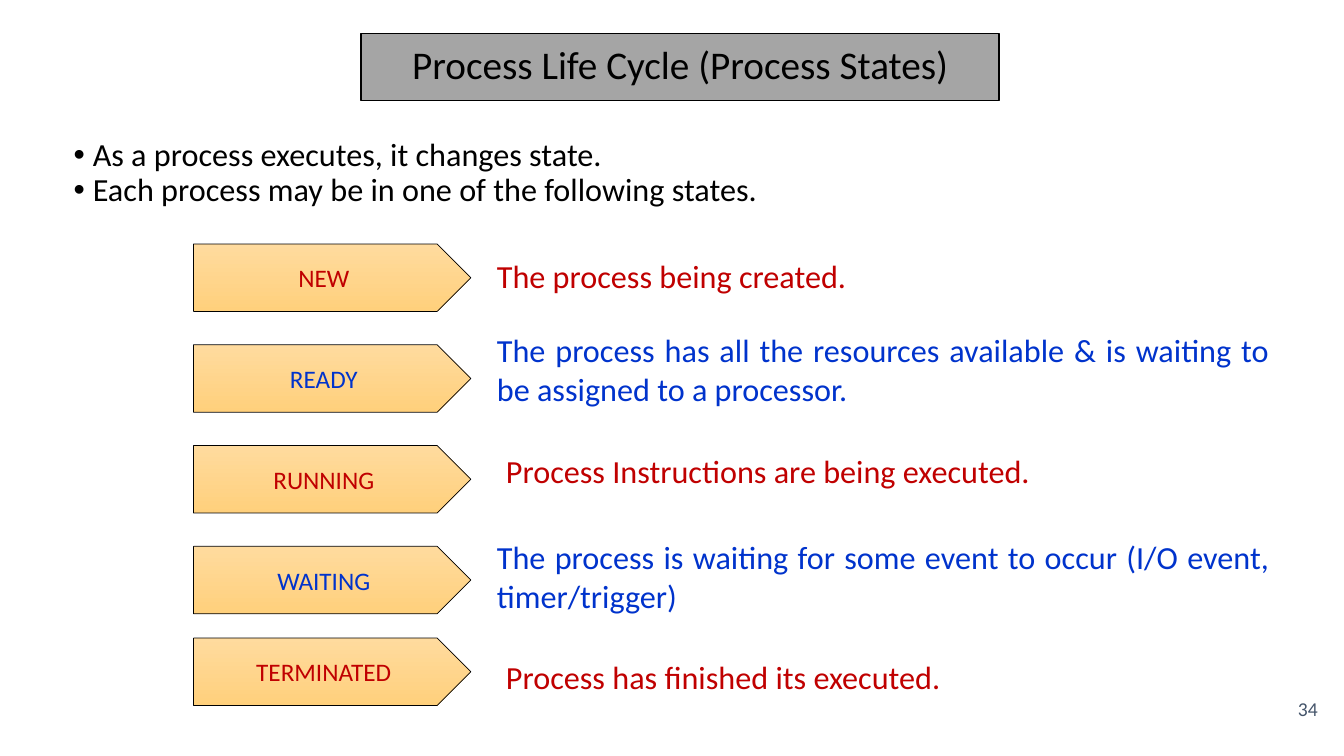
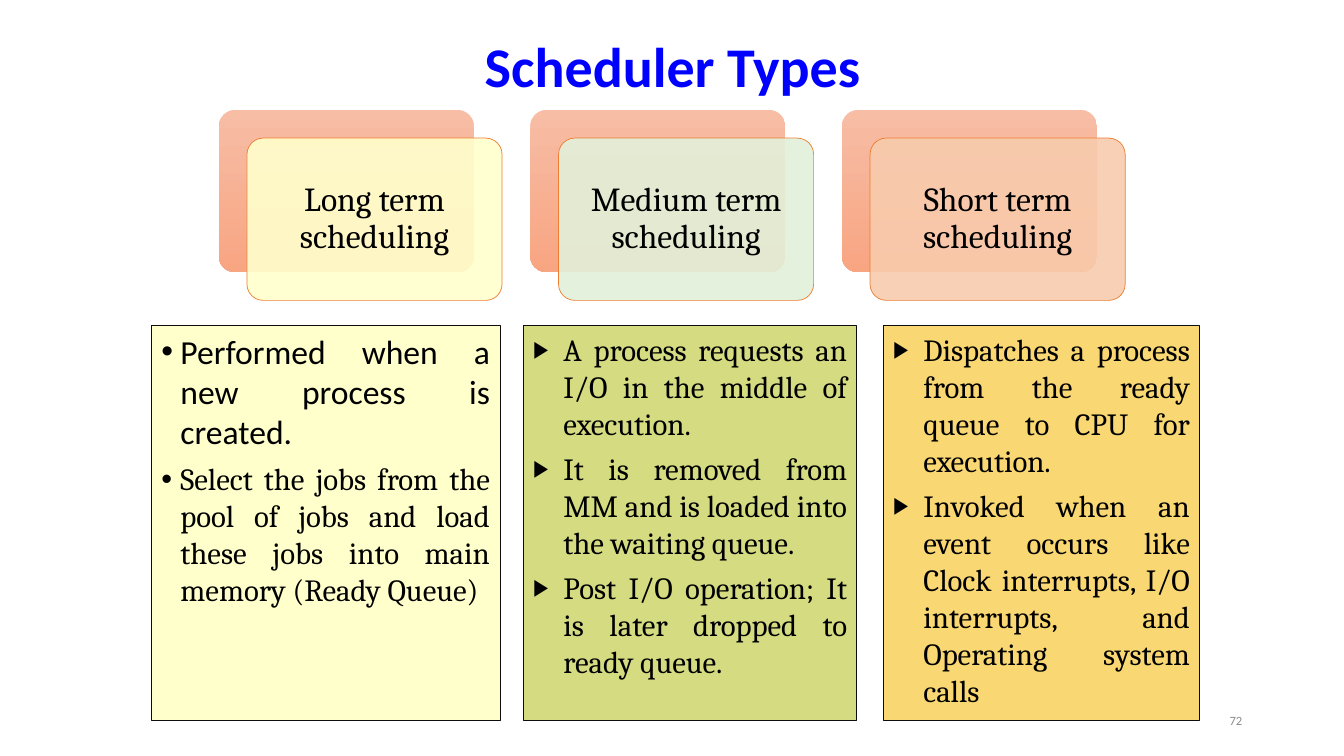
from lxml.etree import SubElement
from pptx import Presentation
from pptx.dml.color import RGBColor
from pptx.enum.shapes import MSO_SHAPE as Preset
from pptx.enum.text import MSO_ANCHOR as Anchor, MSO_AUTO_SIZE as AutoSize, PP_ALIGN as Align
from pptx.oxml.ns import qn
from pptx.util import Inches, Pt

BLACK = "000000"
WHITE = "FFFFFF"
RED = "C00000"
BLUE = "0033CC"
TITLE_BLUE = "0000FF"
TITLE_GREY = "A5A5A5"
OUTLINE = "0D0D0D"
ORANGE = "ED7D31"
AMBER = ("FFDB9E", "FFD07C")
SALMON = ("F7BDA5", "F8A582")
PALE_YELLOW = "FFFFCC"

TITLE_SPACING = 0.9
BODY_SIZE = 23
COLUMN_SIZE = 22


def add_text(shape, text, size=18, color=BLACK, font="Calibri", bold=False,
             align=Align.LEFT, anchor=Anchor.MIDDLE, spacing=1.0, after=0,
             bullet=None, bullet_size=100, indent=0.0):
    frame = shape.text_frame
    frame.word_wrap = True
    frame.auto_size = AutoSize.NONE
    frame.vertical_anchor = anchor
    paragraph = frame.add_paragraph() if frame.text else frame.paragraphs[0]
    if bullet:
        properties = paragraph._p.get_or_add_pPr()
        properties.set("marL", str(Inches(indent)))
        properties.set("indent", str(-Inches(indent)))
        SubElement(properties, qn("a:buSzPct"), val=str(bullet_size * 1000))
        SubElement(properties, qn("a:buFont"), typeface="Arial")
        SubElement(properties, qn("a:buChar"), char=bullet)
    paragraph.alignment = align
    paragraph.line_spacing = spacing
    paragraph.space_before = Pt(0)
    paragraph.space_after = Pt(after)
    run = paragraph.add_run()
    run.text = text
    run.font.name = font
    run.font.size = Pt(size)
    run.font.bold = bold
    run.font.color.rgb = RGBColor.from_string(color)


def paint(shape, *colors, line=None, width=0.5, opacity=100):
    shape.shadow.inherit = False
    if len(colors) == 2:
        shape.fill.gradient()
        shape.fill.gradient_angle = 270
        for stop, color in zip(shape.fill.gradient_stops, colors):
            stop.color.rgb = RGBColor.from_string(color)
    else:
        shape.fill.solid()
        shape.fill.fore_color.rgb = RGBColor.from_string(colors[0])
    if opacity < 100:
        color_element = shape.element.spPr.find(qn("a:solidFill"))[0]
        SubElement(color_element, qn("a:alpha"), val=str(opacity * 1000))
    if line:
        shape.line.color.rgb = RGBColor.from_string(line)
        shape.line.width = Pt(width)
    else:
        shape.line.fill.background()


presentation = Presentation()
presentation.slide_width = Inches(13.33)
presentation.slide_height = Inches(7.5)

slide_settings = [
    ("Process Life Cycle (Process States)", (3.58, 0.33, 6.33, 0.67), 28, BLACK, False,
     (0.63, 1.33, 11.84, 1.17), "34", (11, 6.83, 2.17, 0.4), 14, "44546A"),
    ("Scheduler Types", (0.92, -0.04, 11.5, 1.45), 40, TITLE_BLUE, True,
     (1.5, 3.23, 3.46, 3.92), "72", (9.42, 6.95, 3, 0.4), 9, "8C8C8C"),
]
slides = []
for (title, title_box, title_size, title_color, title_bold,
     body_box, number, number_box, number_size, number_color) in slide_settings:
    slide = presentation.slides.add_slide(presentation.slide_layouts[1])
    for placeholder, box in zip(slide.placeholders, (title_box, body_box)):
        placeholder.left, placeholder.top, placeholder.width, placeholder.height = map(Inches, box)
    add_text(slide.shapes.title, title, size=title_size, color=title_color,
             bold=title_bold, align=Align.CENTER, spacing=TITLE_SPACING)
    number_shape = slide.shapes.add_textbox(*map(Inches, number_box))
    add_text(number_shape, number, size=number_size, color=number_color, align=Align.RIGHT)
    slides.append(slide)

states_slide, scheduler_slide = slides

paint(states_slide.shapes.title, TITLE_GREY, line=BLACK, width=1)
for text in ("As a process executes, it changes state.",
             "Each process may be in one of the following states."):
    add_text(states_slide.placeholders[1], text, size=BODY_SIZE, align=Align.JUSTIFY,
             anchor=Anchor.TOP, spacing=0.9, bullet="•", indent=0.19)

states = [
    ("NEW", 2.42, RED, "The process being created.", 4.83, 2.4, Align.LEFT),
    ("READY", 3.42, BLUE,
     "The process has all the resources available & is waiting to be assigned to a processor.",
     4.83, 3.33, Align.JUSTIFY),
    ("RUNNING", 4.42, RED, "Process Instructions are being executed.", 4.92, 4.33, Align.LEFT),
    ("WAITING", 5.42, BLUE,
     "The process is waiting for some event to occur (I/O event, timer/trigger)",
     4.83, 5.38, Align.JUSTIFY),
    ("TERMINATED", 6.33, RED, "Process has finished its executed.", 4.92, 6.38, Align.LEFT),
]
for name, top, color, meaning, meaning_left, meaning_top, align in states:
    arrow = states_slide.shapes.add_shape(
        Preset.PENTAGON, Inches(1.92), Inches(top), Inches(2.75), Inches(0.67))
    paint(arrow, *AMBER, line=BLACK)
    add_text(arrow, name, color=color, align=Align.CENTER)
    description = states_slide.shapes.add_shape(
        Preset.RECTANGLE, Inches(meaning_left), Inches(meaning_top), Inches(7.87), Inches(0.67))
    paint(description, WHITE, line=WHITE, width=1)
    add_text(description, meaning, size=BODY_SIZE, color=color, align=align)

cards = [
    ("Long term scheduling", PALE_YELLOW),
    ("Medium term scheduling", "E2F0D9"),
    ("Short term scheduling", "F8CBAD"),
]
for index, (label, color) in enumerate(cards):
    left = 2.17 + index * 3.09
    back, front = [
        scheduler_slide.shapes.add_shape(
            Preset.ROUNDED_RECTANGLE, Inches(left + offset), Inches(1.09 + offset),
            Inches(2.53), Inches(1.61))
        for offset in (0, 0.28)
    ]
    for card in (back, front):
        card.adjustments[0] = 0.1
    paint(back, *SALMON)
    paint(front, color, line=ORANGE, opacity=90)
    add_text(front, label, size=24, font="Cambria", align=Align.CENTER, spacing=0.9)

long_term = scheduler_slide.placeholders[1]
paint(long_term, PALE_YELLOW, line=OUTLINE, width=0.75)
for text, size, font in (
        ("Performed when a new process is created.", 24, "Calibri"),
        ("Select the jobs from the pool of jobs and load these jobs into main memory (Ready Queue)",
         COLUMN_SIZE, "Cambria")):
    add_text(long_term, text, size=size, font=font, align=Align.JUSTIFY,
             anchor=Anchor.TOP, after=6, bullet="•", indent=0.19)

columns = [
    (5.19, 3.31, "BBC737", (
        "A process requests an I/O in the middle of execution.",
        "It is removed from MM and is loaded into the waiting queue.",
        "Post I/O operation; It is later dropped to ready queue.")),
    (8.76, 3.14, "F7C120", (
        "Dispatches a process from the ready queue to CPU for execution.",
        "Invoked when an event occurs like Clock interrupts, I/O interrupts, "
        "and Operating system calls")),
]
for left, width, color, texts in columns:
    column = scheduler_slide.shapes.add_shape(
        Preset.RECTANGLE, Inches(left), Inches(3.23), Inches(width), Inches(3.92))
    paint(column, color, line=OUTLINE, width=0.75, opacity=63)
    for text in texts:
        add_text(column, text, size=COLUMN_SIZE, font="Cambria", align=Align.JUSTIFY,
                 anchor=Anchor.TOP, after=6, bullet="▶", bullet_size=76, indent=0.3)

presentation.save("out.pptx")
